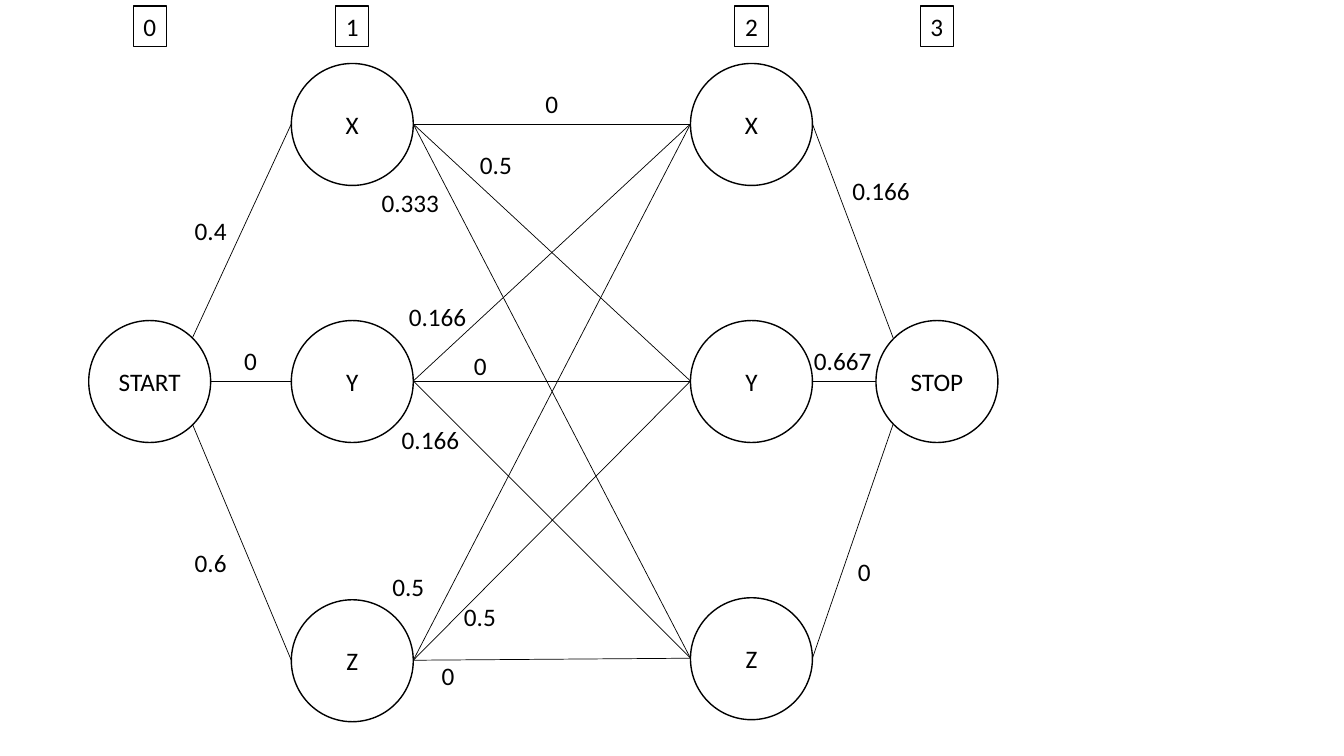
import math
from dataclasses import dataclass

from pptx import Presentation
from pptx import util as u
from pptx.dml.color import RGBColor
from pptx.enum import shapes, text
from pptx.oxml.ns import qn
from lxml import etree

PX = 9144  # EMU per px, at 100 px to the inch
COLORS = {"ink": "000000"}
DIAMETER = 121
LABEL_HEIGHT = 40
LABEL_WIDTHS = {1: 33, 3: 52, 5: 78}  # by number of characters


@dataclass(frozen=True)
class State:
    name: str
    left: int
    top: int

    def rim(self, degrees: int) -> tuple[int, int]:
        """Point on the circle, clockwise from the right-hand side."""
        radius, angle = DIAMETER / 2, math.radians(degrees)
        return (int(self.left + radius + radius * math.cos(angle)),
                int(self.top + radius + radius * math.sin(angle)))


@dataclass(frozen=True)
class Label:
    value: str
    left: int
    top: int
    boxed: bool = False


# States of the trellis
START = State("START", 88, 318)
FIRST = [State("X", 289, 63), State("Y", 289, 318), State("Z", 289, 595)]
SECOND = [State("X", 685, 63), State("Y", 685, 318), State("Z", 685, 593)]
STOP = State("STOP", 869, 318)
START_ANGLES = [-45, 0, 45]
STOP_ANGLES = [-135, 180, 135]

STEPS = [Label(str(step), left, 6, boxed=True)
         for step, left in enumerate([132, 333, 729, 913])]
WEIGHTS = [
    # From START
    Label("0.4", 183, 209), Label("0", 232, 338), Label("0.6", 183, 538),
    # From X
    Label("0", 531, 83), Label("0.5", 466, 143), Label("0.333", 368, 181),
    # From Y
    Label("0.166", 395, 294), Label("0", 460, 343), Label("0.166", 388, 416),
    # From Z
    Label("0.5", 379, 562), Label("0.5", 450, 592), Label("0", 428, 650),
    # To STOP
    Label("0.166", 835, 169), Label("0.667", 797, 338), Label("0", 841, 547),
]


def outline(shape, points: float) -> None:
    shape.line.color.rgb = RGBColor.from_string(COLORS["ink"])
    shape.line.width = u.Pt(points)


def write(frame, value: str) -> None:
    paragraph = frame.paragraphs[0]
    paragraph.alignment = text.PP_ALIGN.CENTER
    run = paragraph.add_run()
    run.text = value
    run.font.name = "Calibri"
    run.font.size = u.Pt(18)
    run.font.color.rgb = RGBColor.from_string(COLORS["ink"])


def draw_state(slide, state: State) -> None:
    shape = slide.shapes.add_shape(
        shapes.MSO_SHAPE.OVAL, state.left * PX, state.top * PX,
        DIAMETER * PX, DIAMETER * PX)
    shape.shadow.inherit = False
    shape.fill.background()
    outline(shape, 1)
    shape.text_frame.vertical_anchor = text.MSO_ANCHOR.MIDDLE
    write(shape.text_frame, state.name)


def draw_edge(slide, begin: tuple[int, int], end: tuple[int, int]) -> None:
    connector = slide.shapes.add_connector(
        shapes.MSO_CONNECTOR.STRAIGHT, *(value * PX for value in begin + end))
    outline(connector, 0.5)
    etree.SubElement(connector._element.spPr, qn("a:effectLst"))


def draw_label(slide, label: Label) -> None:
    shape = slide.shapes.add_textbox(
        label.left * PX, label.top * PX,
        LABEL_WIDTHS[len(label.value)] * PX, LABEL_HEIGHT * PX)
    if label.boxed:
        outline(shape, 0.75)
    shape.text_frame.word_wrap = False
    shape.text_frame.auto_size = text.MSO_AUTO_SIZE.SHAPE_TO_FIT_TEXT
    write(shape.text_frame, label.value)


def main() -> None:
    presentation = Presentation()
    presentation.slide_width = u.Emu(12192000)
    presentation.slide_height = 750 * PX
    slide = presentation.slides.add_slide(presentation.slide_layouts[6])

    # Circles
    for state in [START, *FIRST, *SECOND, STOP]:
        draw_state(slide, state)

    # Transitions
    for state, angle in zip(FIRST, START_ANGLES):
        draw_edge(slide, START.rim(angle), state.rim(180))
    for origin in FIRST:
        for target in SECOND:
            draw_edge(slide, origin.rim(0), target.rim(180))
    for state, angle in zip(SECOND, STOP_ANGLES):
        draw_edge(slide, state.rim(0), STOP.rim(angle))

    # Step numbers and transition weights
    for label in STEPS + WEIGHTS:
        draw_label(slide, label)

    presentation.save("out.pptx")


if __name__ == "__main__":
    main()
